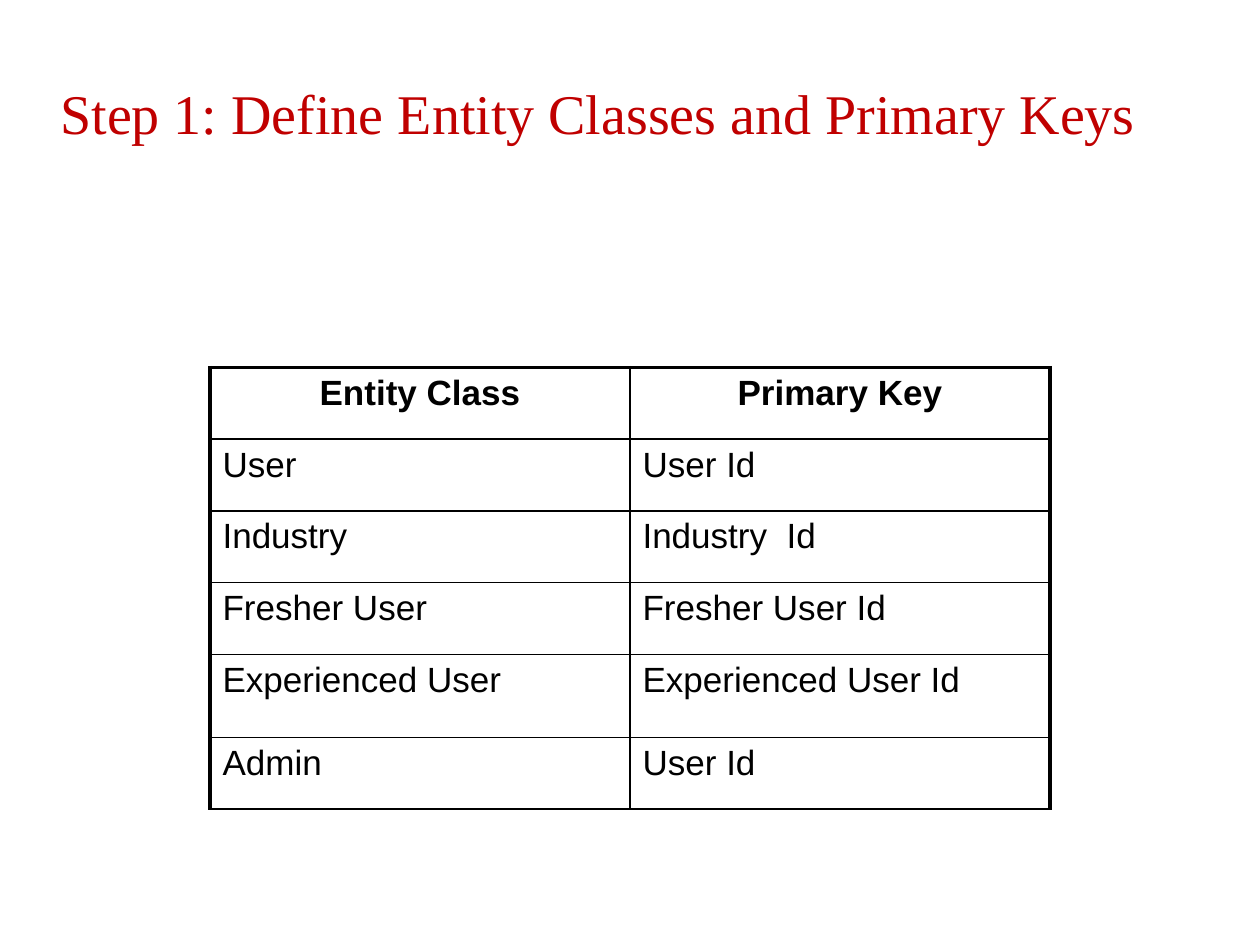
from dataclasses import dataclass

from lxml.etree import SubElement
from pptx import Presentation
from pptx.dml.color import RGBColor
from pptx.enum.text import PP_ALIGN as Align
from pptx.oxml.ns import qn
from pptx.util import Pt


@dataclass(frozen=True)
class Theme:
    """Colours, fonts and sizes used on the slide."""
    title_color: str = "C00000"
    ink: str = "000000"
    title_font: str = "Times New Roman"
    table_font: str = "Arial"
    title_size: float = 32
    table_size: float = 20
    outer_line: float = 2.25
    inner_line: float = 1


THEME = Theme()
ENTITIES = [
    ("Entity Class", "Primary Key"),
    ("User", "User Id"),
    ("Industry", "Industry  Id"),
    ("Fresher User", "Fresher User Id"),
    ("Experienced User", "Experienced User Id"),
    ("Admin", "User Id"),
]
COL_WIDTH = 240
ROW_HEIGHTS = [41, 41, 41, 41, 47.4, 41]


def style_text(p, font, size, color, bold=False, align=Align.LEFT):
    """Set the font and alignment of a paragraph."""
    p.alignment = align
    p.font.name = font
    p.font.size = Pt(size)
    p.font.bold = bold
    p.font.color.rgb = RGBColor.from_string(color)


def add_title(s, text, left, top, width, height):
    """Add the centred slide title."""
    tf = s.shapes.add_textbox(Pt(left), Pt(top), Pt(width), Pt(height)).text_frame
    tf.word_wrap = True
    tf.margin_top = Pt(7)
    p = tf.paragraphs[0]
    p.text = text
    style_text(p, THEME.title_font, THEME.title_size, THEME.title_color,
               align=Align.CENTER)


def set_borders(cell, widths):
    """Draw the cell borders; widths run left, right, top, bottom."""
    tc_pr = cell._tc.get_or_add_tcPr()
    for i, (side, width) in enumerate(zip("LRTB", widths)):
        ln = tc_pr.makeelement(qn(f"a:ln{side}"), {"w": str(Pt(width))})
        fill = SubElement(ln, qn("a:solidFill"))
        SubElement(fill, qn("a:srgbClr"), val=THEME.ink)
        tc_pr.insert(i, ln)


def add_entity_table(s, rows, left, top):
    """Add the table with a heavy frame at the left, right and top."""
    n_cols = len(rows[0])
    table = s.shapes.add_table(len(rows), n_cols, Pt(left), Pt(top),
                               Pt(COL_WIDTH * n_cols),
                               Pt(sum(ROW_HEIGHTS))).table
    table.horz_banding = False
    for col in table.columns:
        col.width = Pt(COL_WIDTH)
    outer, inner = THEME.outer_line, THEME.inner_line
    for r, (texts, height) in enumerate(zip(rows, ROW_HEIGHTS)):
        table.rows[r].height = Pt(height)
        header = r == 0
        for c, text in enumerate(texts):
            cell = table.cell(r, c)
            cell.fill.background()
            p = cell.text_frame.paragraphs[0]
            p.text = text
            style_text(p, THEME.table_font, THEME.table_size, THEME.ink,
                       header, Align.CENTER if header else Align.LEFT)
            set_borders(cell, (outer if c == 0 else inner,
                               outer if c == n_cols - 1 else inner,
                               outer if header else inner,
                               inner))


def main():
    """Build and save the slide."""
    prs = Presentation()
    prs.slide_width, prs.slide_height = Pt(720), Pt(540)
    s = prs.slides.add_slide(prs.slide_layouts[6])
    add_entity_table(s, ENTITIES, 120, 210)
    add_title(s, "Step 1: Define Entity Classes and Primary Keys",
              -18, 38, 720, 45.5)
    prs.save("out.pptx")


main()
